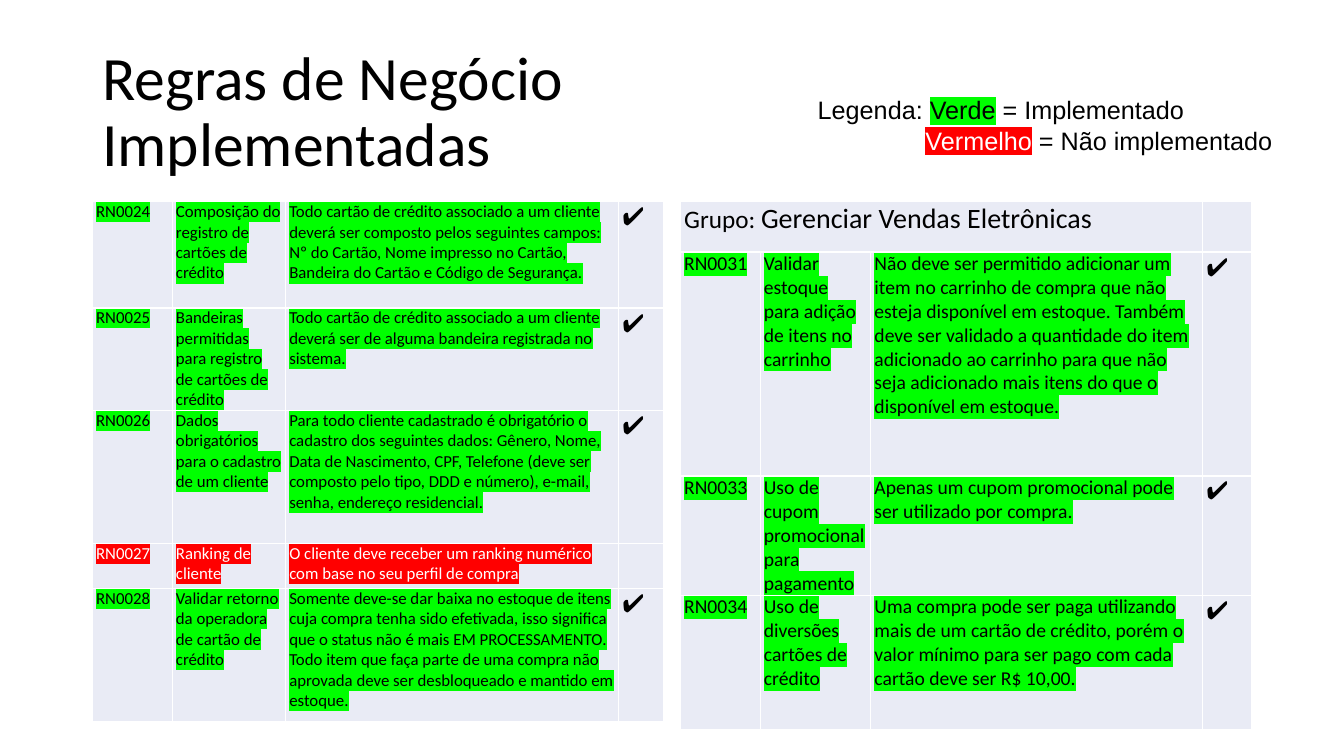
from lxml.etree import SubElement
from pptx import Presentation
from pptx.dml.color import RGBColor
from pptx.enum.text import MSO_ANCHOR, PP_ALIGN
from pptx.oxml import parse_xml
from pptx.oxml.ns import nsdecls, qn
from pptx.util import Pt

COLORS = {
    "text": "000000",
    "white": "FFFFFF",
    "done": "00FF00",
    "missing": "FF0000",
    "cell": "E9EBF5",
}
CHECK = "✔"
GROUP_TITLE = [("Grupo: ", 18), ("Gerenciar Vendas Eletrônicas", 20)]
CLIENT_RULES = [
    ("RN0024", "Composição do registro de cartões de crédito",
     "Todo cartão de crédito associado a um cliente deverá ser composto pelos seguintes campos: "
     "Nº do Cartão, Nome impresso no Cartão, Bandeira do Cartão e Código de Segurança.", True),
    ("RN0025", "Bandeiras permitidas para registro de cartões de crédito",
     "Todo cartão de crédito associado a um cliente deverá ser de alguma bandeira registrada no "
     "sistema.", True),
    ("RN0026", "Dados obrigatórios para o cadastro de um cliente",
     "Para todo cliente cadastrado é obrigatório o cadastro dos seguintes dados: Gênero, Nome, "
     "Data de Nascimento, CPF, Telefone (deve ser composto pelo tipo, DDD e número), e-mail, "
     "senha, endereço residencial.", True),
    ("RN0027", "Ranking de cliente",
     "O cliente deve receber um ranking numérico com base no seu perfil de compra", False),
    ("RN0028", "Validar retorno da operadora de cartão de crédito",
     "Somente deve-se dar baixa no estoque de itens cuja compra tenha sido efetivada, isso "
     "significa que o status não é mais EM PROCESSAMENTO. Todo item que faça parte de uma compra "
     "não aprovada deve ser desbloqueado e mantido em estoque.", True),
]
SALES_RULES = [
    ("RN0031", "Validar estoque para adição de itens no carrinho",
     "Não deve ser permitido adicionar um item no carrinho de compra que não esteja disponível em "
     "estoque. Também deve ser validado a quantidade do item adicionado ao carrinho para que não "
     "seja adicionado mais itens do que o disponível em estoque.", True),
    ("RN0033", "Uso de cupom promocional para pagamento",
     "Apenas um cupom promocional pode ser utilizado por compra.", True),
    ("RN0034", "Uso de diversões cartões de crédito",
     "Uma compra pode ser paga utilizando mais de um cartão de crédito, porém o valor mínimo para "
     "ser pago com cada cartão deve ser R$ 10,00.", True),
]


def style_span(span, size, name="Calibri", color="text", highlight=None):
    span.font.size = Pt(size)
    span.font.name = name
    span.font.color.rgb = RGBColor.from_string(COLORS[color])
    if highlight:
        fill = span.font.fill._xPr.find(qn("a:solidFill"))
        fill.addnext(parse_xml(
            f'<a:highlight {nsdecls("a")}><a:srgbClr val="{COLORS[highlight]}"/></a:highlight>'))


def add_span(para, text, size, **style):
    span = para.add_run()
    span.text = text
    style_span(span, size, **style)


def format_cell(cell):
    cell.margin_left = cell.margin_right = Pt(2.7)
    cell.margin_top = cell.margin_bottom = Pt(0)
    cell.fill.solid()
    cell.fill.fore_color.rgb = RGBColor.from_string(COLORS["cell"])
    properties = cell._tc.get_or_add_tcPr()
    for index, side in enumerate(("lnL", "lnR", "lnT", "lnB")):
        line = SubElement(properties, qn(f"a:{side}"), w=str(Pt(1)))
        SubElement(SubElement(line, qn("a:solidFill")), qn("a:srgbClr"), val=COLORS["white"])
        properties.insert(index, line)


def add_text_box(page, box):
    frame = page.shapes.add_textbox(*map(Pt, box)).text_frame
    frame.word_wrap = True
    return frame


def add_title(page, box):
    frame = add_text_box(page, box)
    frame.vertical_anchor = MSO_ANCHOR.MIDDLE
    para = frame.paragraphs[0]
    para.text = "Regras de Negócio\vImplementadas"
    para.line_spacing = 0.9
    for span in para.runs:
        style_span(span, 44)


def add_legend(page, box):
    frame = add_text_box(page, box)
    entries = [
        ("Legenda: ", "Verde", " = Implementado", "text", "done", 0),
        ("", "Vermelho", " = Não implementado", "white", "missing", 77),
    ]
    for index, (lead, name, meaning, color, highlight, indent) in enumerate(entries):
        para = frame.add_paragraph() if index else frame.paragraphs[0]
        para.alignment = PP_ALIGN.JUSTIFY
        para._p.get_or_add_pPr().set("marL", str(Pt(indent)))
        if lead:
            add_span(para, lead, 18, name="Arial")
        add_span(para, name, 18, name="Arial", color=color, highlight=highlight)
        add_span(para, meaning, 18, name="Arial")


def add_rules_table(page, box, widths, heights, rules, size, heading=()):
    table = page.shapes.add_table(len(heights), len(widths), *map(Pt, box)).table
    table.first_row = table.horz_banding = False
    for column, width in zip(table.columns, widths):
        column.width = Pt(width)
    for row, height in zip(table.rows, heights):
        row.height = Pt(height)
    for cell in table.iter_cells():
        format_cell(cell)
    if heading:
        table.cell(0, 0).merge(table.cell(0, 2))
        for text, heading_size in heading:
            add_span(table.cell(0, 0).text_frame.paragraphs[0], text, heading_size)
    first_rule = len(heights) - len(rules)
    for row, (*texts, done) in enumerate(rules, first_rule):
        color, highlight = ("text", "done") if done else ("white", "missing")
        for column, text in enumerate(texts):
            para = table.cell(row, column).text_frame.paragraphs[0]
            add_span(para, text, size, color=color, highlight=highlight)
        if done:
            add_span(table.cell(row, 3).text_frame.paragraphs[0], CHECK, 18)


def main():
    deck = Presentation()
    deck.slide_width, deck.slide_height = Pt(960), Pt(540)
    page = deck.slides.add_slide(deck.slide_layouts[6])
    add_rules_table(page, (66, 144, 408, 336), (57, 81, 238, 32),
                    (76, 38, 95, 32, 95), CLIENT_RULES, 12)
    add_rules_table(page, (486, 144, 408, 356), (57, 79, 237, 35),
                    (36, 160, 64, 96), SALES_RULES, 14, GROUP_TITLE)
    add_title(page, (66, 29, 828, 104))
    add_legend(page, (577, 64, 348, 71))
    deck.save("out.pptx")


if __name__ == "__main__":
    main()
